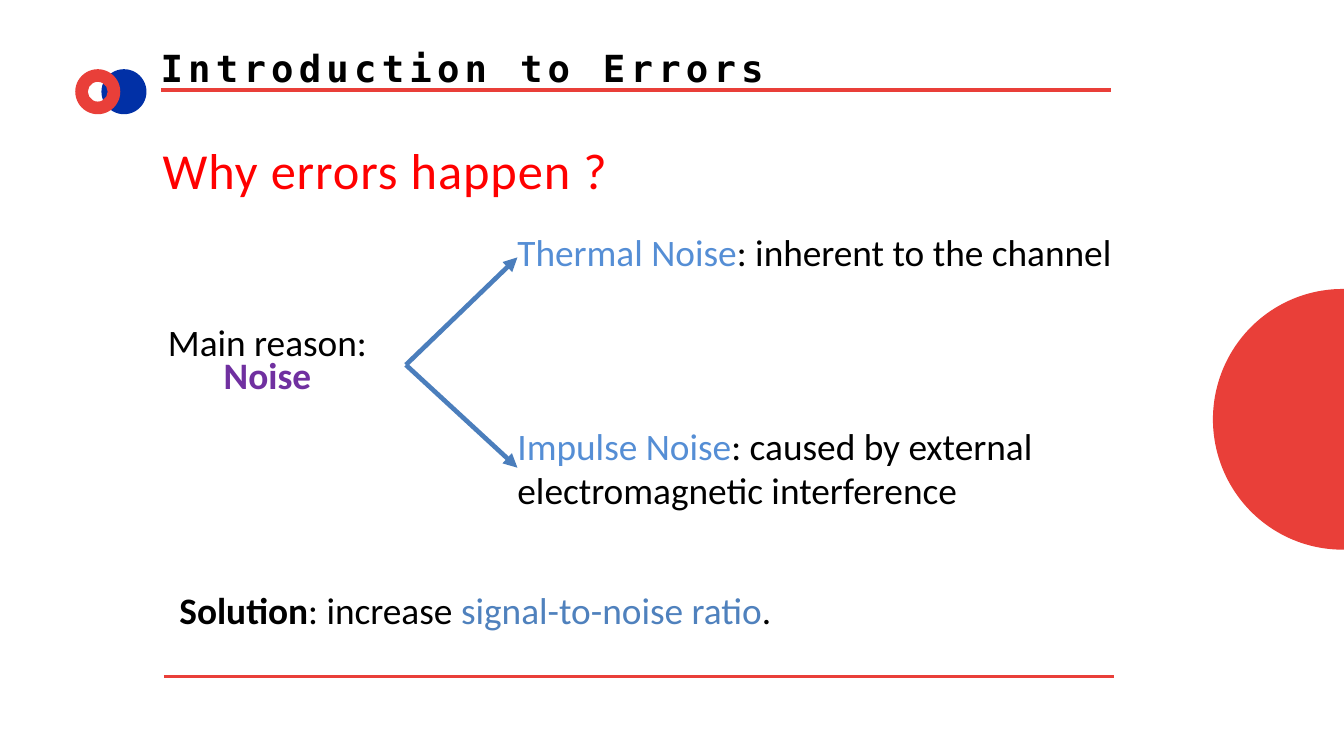
from pptx import Presentation
from pptx.dml.color import RGBColor
from pptx.enum.shapes import MSO_CONNECTOR, MSO_SHAPE
from pptx.enum.text import MSO_AUTO_SIZE, PP_ALIGN
from pptx.oxml.ns import qn
from pptx.util import Inches, Pt
from lxml import etree

RED = RGBColor(0xE9, 0x3F, 0x39)
NAVY = RGBColor(0x01, 0x30, 0xA6)
BRIGHT = RGBColor(0xFF, 0x00, 0x00)
BLACK = RGBColor(0x00, 0x00, 0x00)
PURPLE = RGBColor(0x70, 0x30, 0xA0)
SKY = RGBColor(0x55, 0x8E, 0xD5)
BLUE = RGBColor(0x4F, 0x81, 0xBD)
STEEL = RGBColor(0x4B, 0x7E, 0xBC)
OVAL, DONUT = MSO_SHAPE.OVAL, MSO_SHAPE.DONUT
STRAIGHT = MSO_CONNECTOR.STRAIGHT
GROW = MSO_AUTO_SIZE.SHAPE_TO_FIT_TEXT
LEFT, CENTER, JUSTIFY = PP_ALIGN.LEFT, PP_ALIGN.CENTER, PP_ALIGN.JUSTIFY
BODY, MONO = "Calibri", "DejaVu Sans Mono"

deck = Presentation()
deck.slide_width, deck.slide_height = Inches(20), Inches(11.25)
slide = deck.slides.add_slide(deck.slide_layouts[6])


def add_line(start, end, color, width, arrow=False):
    line = slide.shapes.add_connector(STRAIGHT, *map(Inches, start + end))
    line.line.color.rgb = color
    line.line.width = Pt(width)
    if arrow:
        etree.SubElement(line.line._get_or_add_ln(), qn("a:tailEnd"), type="triangle")
    etree.SubElement(line._element.spPr, qn("a:effectLst"))


def add_text(place, runs, size=40, font=BODY, track=0, **format):
    box = slide.shapes.add_textbox(*map(Inches, place))
    frame = box.text_frame
    margins = dict.fromkeys(("margin_left", "margin_top", "margin_right", "margin_bottom"), 0)
    for name, value in {**margins, "word_wrap": True, "auto_size": GROW}.items():
        setattr(frame, name, value)
    para = frame.paragraphs[0]
    for name, value in format.items():
        setattr(para, name, value)
    for text, color, bold in runs:
        run = para.add_run()
        run.text = text
        for name, value in {"size": Pt(size), "name": font, "bold": bold}.items():
            setattr(run.font, name, value)
        run.font.color.rgb = color
        if track:
            run._r.get_or_add_rPr().set("spc", str(round(track * 100)))


for kind, place, color in (
    (OVAL, (1.51, 1.03, 0.67, 0.67), NAVY),
    (DONUT, (1.12, 1.03, 0.67, 0.67), RED),
    (OVAL, (18.05, 4.3, 3.86, 3.88), RED),
):
    disc = slide.shapes.add_shape(kind, *map(Inches, place))
    disc.shadow.inherit = False
    disc.fill.solid()
    disc.fill.fore_color.rgb = color
    disc.line.fill.background()
    if kind == DONUT:
        disc.adjustments[0] = 0.28

for left, top in ((2.4, 1.34), (2.44, 10.07)):
    add_line((left, top), (left + 14.14, top), RED, 3.75)

for top in (3.83, 6.96):
    add_line((6.04, 5.43), (7.7, top), STEEL, 5, arrow=True)

add_text((2.39, 0.69, 11.24, 0.65), [("Introduction to Errors", BLACK, True)],
         font=MONO, track=5.6, alignment=LEFT, line_spacing=Pt(46.2))
add_text((2.42, 1.7, 9.7, 1.16), [("Why errors happen ?", BRIGHT, False)],
         size=54, track=1, alignment=JUSTIFY, line_spacing=Pt(91))
add_text((1.92, 4.91, 4.12, 1.03),
         [("Main reason: ", BLACK, False), ("Noise", PURPLE, True)],
         alignment=CENTER, line_spacing=Pt(36))
add_text((7.7, 3.57, 10.24, 0.53),
         [("Thermal Noise", SKY, False), (": inherent to the channel", BLACK, False)],
         alignment=LEFT, line_spacing=Pt(36))
add_text((7.7, 6.29, 9.54, 1.35),
         [("Impulse Noise", SKY, False),
          (": caused by external electromagnetic interference", BLACK, False)],
         alignment=LEFT)
add_text((2.67, 8.91, 11.61, 0.53),
         [("Solution", BLACK, True), (": increase ", BLACK, False),
          ("signal-to-noise ratio", BLUE, False), (".", BLACK, False)],
         alignment=LEFT, line_spacing=Pt(36))

deck.save("out.pptx")
